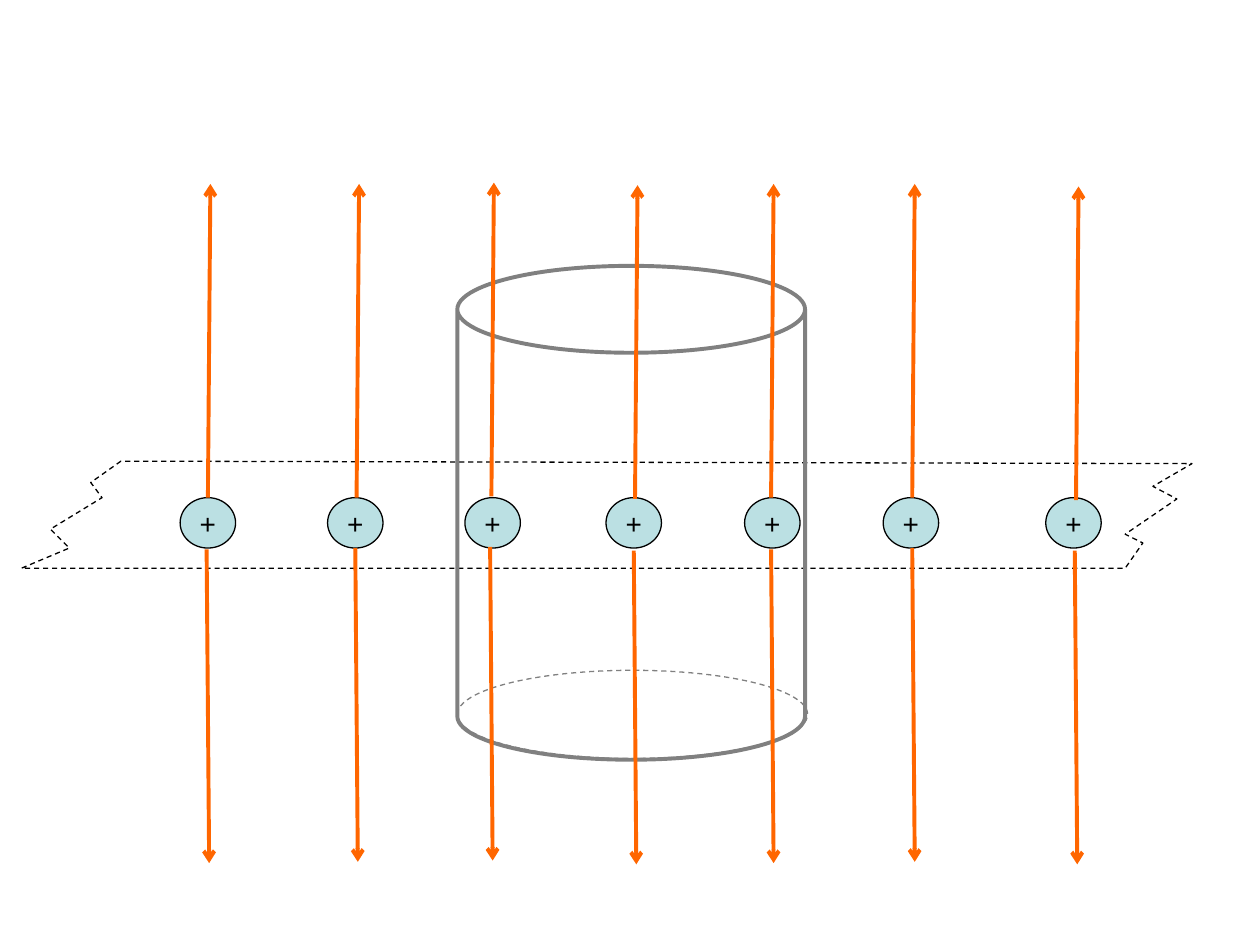
from typing import Any, NamedTuple

from lxml import etree
from pptx import Presentation
from pptx.dml.color import RGBColor
from pptx.enum.dml import MSO_LINE
from pptx.enum.shapes import MSO_CONNECTOR, MSO_SHAPE
from pptx.enum.text import MSO_ANCHOR, PP_ALIGN
from pptx.oxml.ns import qn
from pptx.util import Inches, Pt

DASH = MSO_LINE.DASH
STRAIGHT = MSO_CONNECTOR.STRAIGHT
OVAL = MSO_SHAPE.OVAL
CAN = MSO_SHAPE.CAN
MIDDLE = MSO_ANCHOR.MIDDLE
CENTER = PP_ALIGN.CENTER

COLORS = {
    "charge": "BBE0E3",
    "outline": "000000",
    "cylinder": "808080",
    "field": "FF6600",
}
FRAME_FORMAT = {"word_wrap": False, "vertical_anchor": MIDDLE}
SIGN_FORMAT = {"name": "Arial", "size": Pt(16)}

CHARGE_TOP, CHARGE_WIDTH, CHARGE_HEIGHT = 3.95, 0.44, 0.4
FIELD_LENGTH, FIELD_LEAN = 2.49, 0.02


class Charge(NamedTuple):
    left: float
    up_x: float
    up_y: float
    down_x: float
    down_y: float


class Box(NamedTuple):
    left: float
    top: float
    width: float
    height: float


CHARGES = [
    Charge(1.43, 1.65, 3.95, 1.64, 4.36),
    Charge(2.6, 2.83, 3.95, 2.82, 4.35),
    Charge(3.69, 3.9, 3.94, 3.89, 4.34),
    Charge(4.81, 5.04, 3.96, 5.03, 4.37),
    Charge(5.91, 6.12, 3.95, 6.12, 4.36),
    Charge(7.01, 7.24, 3.95, 7.24, 4.35),
    Charge(8.3, 8.54, 3.97, 8.53, 4.37),
]
CYLINDER = Box(3.63, 2.11, 2.76, 3.92)
CYLINDER_BASE = Box(3.63, 5.32, 2.78, 0.7)
SHEET_EDGE = [
    (0.96, 3.66), (0.72, 3.83), (0.81, 3.95), (0.4, 4.2),
    (0.55, 4.35), (0.17, 4.51), (8.93, 4.51), (9.07, 4.31),
    (8.93, 4.24), (9.34, 3.96), (9.15, 3.86), (9.46, 3.68),
]


def apply_format(target: Any, values: dict[str, Any]) -> None:
    for name, value in values.items():
        setattr(target, name, value)


def set_line(line: Any, color: str, width: float, dashed: bool = False) -> None:
    line.color.rgb = RGBColor.from_string(COLORS[color])
    line.width = Pt(width)
    if dashed:
        line.dash_style = DASH


def draw_outline(
    shapes: Any, kind: Any, box: Box, color: str, width: float, dashed: bool = False
) -> Any:
    outline = shapes.add_shape(kind, *map(Inches, box))
    outline.shadow.inherit = False
    outline.fill.background()
    set_line(outline.line, color, width, dashed)
    return outline


def draw_charge(shapes: Any, charge: Charge) -> None:
    box = Box(charge.left, CHARGE_TOP, CHARGE_WIDTH, CHARGE_HEIGHT)
    circle = draw_outline(shapes, OVAL, box, "outline", 0.75)
    circle.fill.solid()
    circle.fill.fore_color.rgb = RGBColor.from_string(COLORS["charge"])
    frame = circle.text_frame
    apply_format(frame, FRAME_FORMAT)
    paragraph = frame.paragraphs[0]
    paragraph.alignment = CENTER
    sign = paragraph.add_run()
    sign.text = "+"
    apply_format(sign.font, SIGN_FORMAT)
    sign.font.color.rgb = RGBColor.from_string(COLORS["outline"])


def draw_sheet(shapes: Any) -> None:
    start, *rest = [(Inches(x), Inches(y)) for x, y in SHEET_EDGE]
    builder = shapes.build_freeform(*start)
    builder.add_line_segments(rest, close=True)
    sheet = builder.convert_to_shape()
    sheet.shadow.inherit = False
    sheet.fill.background()
    set_line(sheet.line, "outline", 0.75, dashed=True)


def draw_field_line(shapes: Any, x: float, y: float, direction: int) -> None:
    end = (x + FIELD_LEAN, y + direction * FIELD_LENGTH)
    arrow = shapes.add_connector(STRAIGHT, *map(Inches, (x, y, *end)))
    set_line(arrow.line, "field", 2.25)
    properties = arrow._element.spPr
    etree.SubElement(properties.find(qn("a:ln")), qn("a:tailEnd"), type="arrow")
    etree.SubElement(properties, qn("a:effectLst"))


def main() -> None:
    deck = Presentation()
    deck.slide_width, deck.slide_height = Inches(10), Inches(7.5)
    shapes = deck.slides.add_slide(deck.slide_layouts[6]).shapes
    for charge in CHARGES:
        draw_charge(shapes, charge)
    draw_sheet(shapes)
    draw_outline(shapes, CAN, CYLINDER, "cylinder", 2.25)
    draw_outline(shapes, OVAL, CYLINDER_BASE, "cylinder", 0.75, dashed=True)
    for charge in CHARGES:
        draw_field_line(shapes, charge.up_x, charge.up_y, -1)
    for charge in CHARGES:
        draw_field_line(shapes, charge.down_x, charge.down_y, 1)
    deck.save("out.pptx")


if __name__ == "__main__":
    main()
